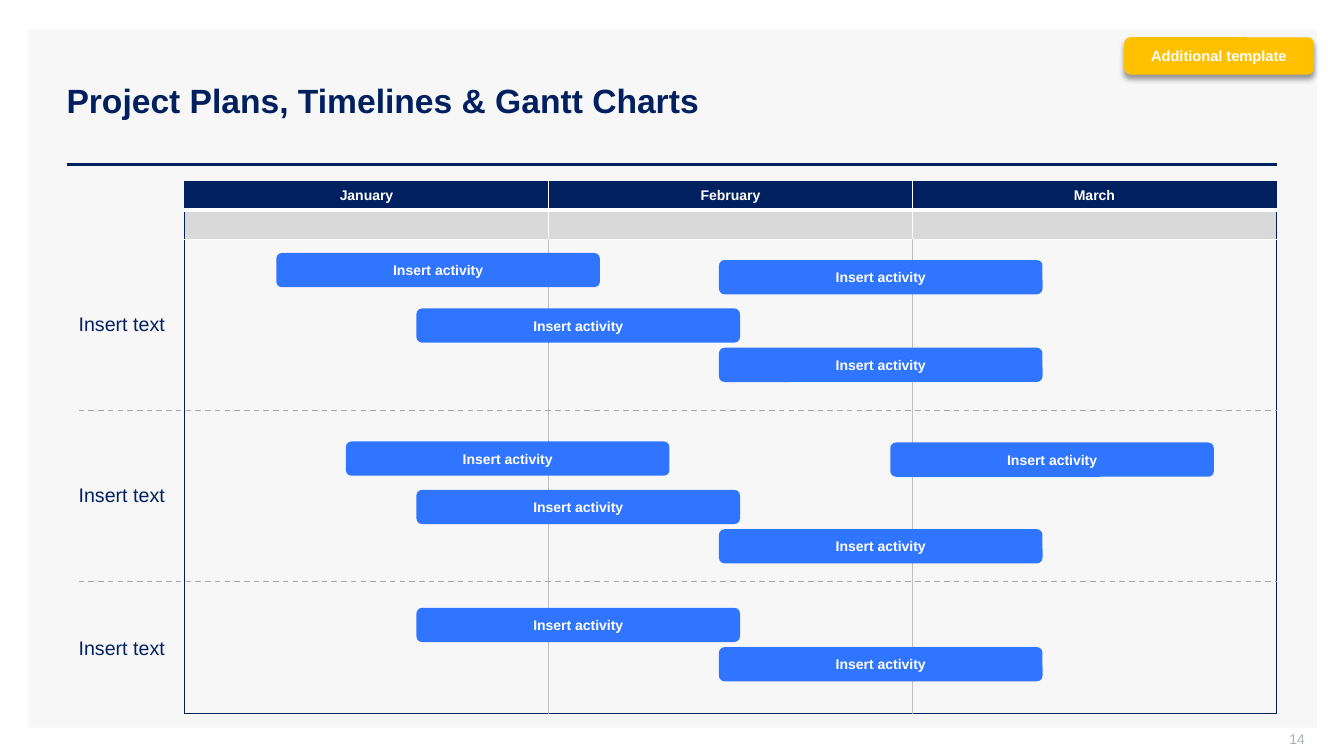
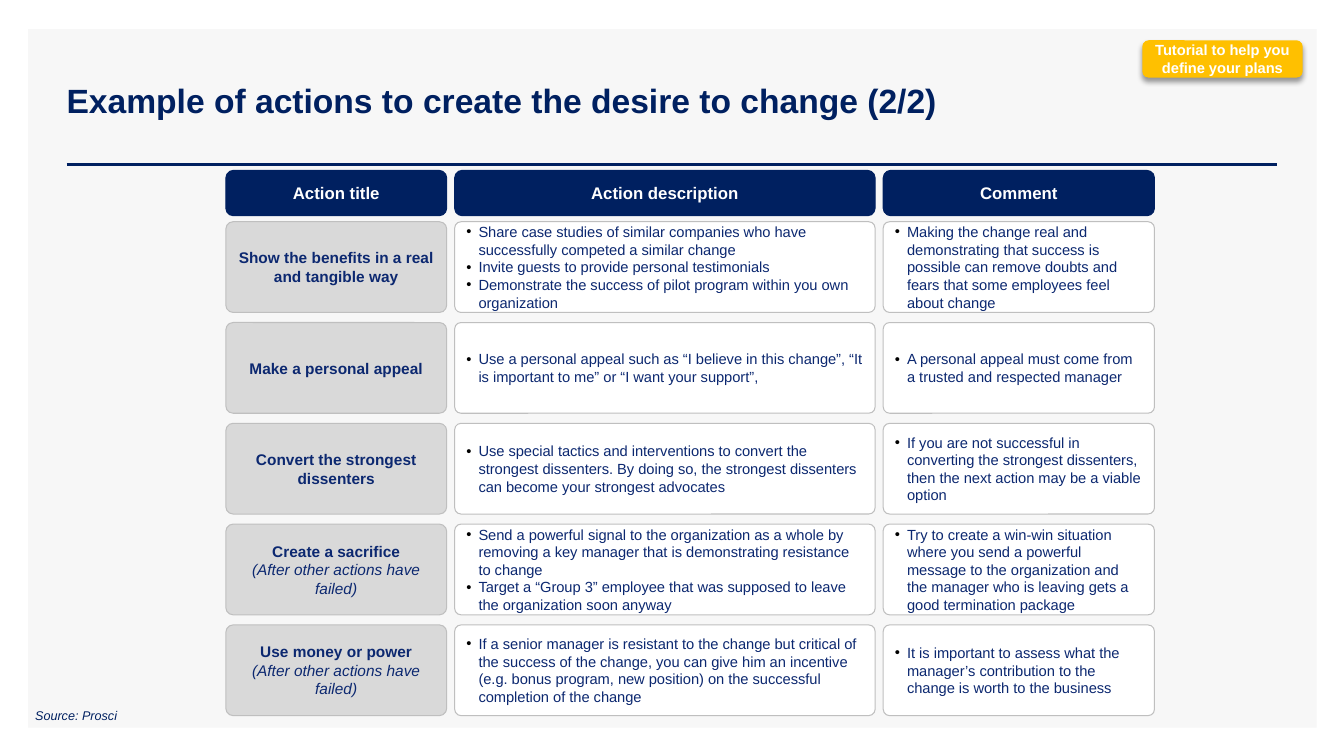
"""Build a Gantt chart slide and a change-action matrix slide."""
from dataclasses import dataclass

from lxml import etree
from pptx import Presentation
from pptx.dml.color import RGBColor
from pptx.enum import dml, shapes, text
from pptx.oxml import ns
from pptx.util import Inches, Pt


@dataclass(frozen=True)
class Theme:
    font: str = "Arial"
    navy: str = "002060"
    ink: str = "0C2870"
    blue: str = "3075FF"
    amber: str = "FFC000"
    white: str = "FFFFFF"
    black: str = "000000"
    panel: str = "F7F7F7"
    grey: str = "D9D9D9"
    border: str = "BFBFBF"
    dash: str = "A6A6A6"
    number: str = "ADAFBB"
    title_size: float = 24
    label_size: float = 14
    header_size: float = 12
    action_size: float = 11
    body_size: float = 10.5
    small_size: float = 10
    source_size: float = 9


THEME = Theme()
CENTER, LEFT, RIGHT = text.PP_ALIGN.CENTER, text.PP_ALIGN.LEFT, text.PP_ALIGN.RIGHT
STANDARD_MARGINS = (0.1, 0.05, 0.1, 0.05)


def write(holder, content, size, colour, align=LEFT, bold=False, italic=False,
          margins=STANDARD_MARGINS, anchor=text.MSO_ANCHOR.MIDDLE, spacing=None):
    frame = holder.text_frame
    frame.text = content
    frame.word_wrap = True
    frame.vertical_anchor = anchor
    frame.margin_left, frame.margin_top, frame.margin_right, frame.margin_bottom = map(Inches, margins)
    for paragraph in frame.paragraphs:
        paragraph.alignment = align
        paragraph.line_spacing = spacing
        for run in paragraph.runs:
            run.font.name, run.font.size = THEME.font, Pt(size)
            run.font.bold, run.font.italic = bold, italic
            run.font.color.rgb = RGBColor.from_string(colour)
    return frame


def add_box(slide, place, fill, line=None, rounding=0.167, kind=shapes.MSO_SHAPE.ROUNDED_RECTANGLE):
    box = slide.shapes.add_shape(kind, *map(Inches, place))
    box.shadow.inherit = False
    box.fill.solid()
    box.fill.fore_color.rgb = RGBColor.from_string(fill)
    if line:
        box.line.color.rgb = RGBColor.from_string(line)
        box.line.width = Pt(0.75)
    else:
        box.line.fill.background()
    if len(box.adjustments):
        box.adjustments[0] = rounding
    return box


presentation = Presentation()
presentation.slide_width, presentation.slide_height = Inches(13.33), Inches(7.5)
layout = presentation.slide_layouts[5]

slides = []
for title, badge_text, badge_place in (
    ("Project Plans, Timelines & Gantt Charts", "Additional template", (11.15, 0.37, 1.88, 0.37)),
    ("Example of actions to create the desire to change (2/2)",
     "Tutorial to help you define your plans", (11.33, 0.4, 1.59, 0.37)),
):
    slide = presentation.slides.add_slide(layout)
    slides.append(slide)
    heading = slide.shapes.title
    heading.left, heading.top, heading.width, heading.height = map(Inches, (0.56, 0.4, 12.11, 1.19))
    write(heading, title, THEME.title_size, THEME.navy, bold=True)
    badge = add_box(slide, badge_place, THEME.amber)
    write(badge, badge_text, THEME.body_size, THEME.white, CENTER, bold=True)
    effects = badge._element.spPr.find(ns.qn("a:effectLst"))
    shadow = etree.SubElement(effects, ns.qn("a:outerShdw"), blurRad=str(Pt(4)), dist=str(Pt(3)),
                              dir="5400000", algn="t", rotWithShape="0")
    shadow_colour = etree.SubElement(shadow, ns.qn("a:srgbClr"), val=THEME.black)
    etree.SubElement(shadow_colour, ns.qn("a:alpha"), val="40000")

gantt, matrix = slides

panel = add_box(gantt, (0.28, 0.29, 12.78, 6.93), THEME.panel, kind=shapes.MSO_SHAPE.RECTANGLE)
layout.shapes.element.insert(2, panel._element)

months = ("January", "February", "March")
row_heights = (0.28, 0.3, 4.7)
row_fills = (THEME.navy, THEME.grey, THEME.panel)
outer_border = (THEME.navy, 0.75)
inner_borders = ((THEME.white, 1), (THEME.white, 1), (THEME.border, 0.75))
level_borders = (outer_border, (THEME.white, 3), (THEME.white, 1), outer_border)

calendar = gantt.shapes.add_table(3, 3, *map(Inches, (1.83, 1.8, 10.83, sum(row_heights)))).table
calendar.first_row = calendar.horz_banding = False
for row, height in enumerate(row_heights):
    calendar.rows[row].height = Inches(height)
    side_borders = (outer_border, inner_borders[row], inner_borders[row], outer_border)
    for column, month in enumerate(months):
        cell = calendar.cell(row, column)
        cell_properties = cell._tc.get_or_add_tcPr()
        for side, (colour, width) in (
            ("lnL", side_borders[column]), ("lnR", side_borders[column + 1]),
            ("lnT", level_borders[row]), ("lnB", level_borders[row + 1]),
        ):
            edge = etree.SubElement(cell_properties, ns.qn(f"a:{side}"), w=str(Pt(width)))
            edge_fill = etree.SubElement(edge, ns.qn("a:solidFill"))
            etree.SubElement(edge_fill, ns.qn("a:srgbClr"), val=colour)
        cell.fill.solid()
        cell.fill.fore_color.rgb = RGBColor.from_string(row_fills[row])
        cell.vertical_anchor = text.MSO_ANCHOR.MIDDLE
        cell.margin_left = cell.margin_right = Inches(0.04)
        cell.margin_top = cell.margin_bottom = Inches(0.05)
        paragraph = cell.text_frame.paragraphs[0]
        if row == 0:
            paragraph.text = month
            paragraph.alignment = CENTER
            font = paragraph.runs[0].font
            font.name, font.size, font.bold = THEME.font, Pt(THEME.small_size), True
            font.color.rgb = RGBColor.from_string(THEME.white)
        else:
            etree.SubElement(paragraph._p, ns.qn("a:endParaRPr"), sz=str(int(THEME.small_size * 100)))

for left, top, colour, width, dashed in (
    (0.78, 4.07, THEME.dash, 1, True),
    (0.78, 5.77, THEME.dash, 1, True),
    (0.66, 1.63, THEME.navy, 2, False),
):
    rule = gantt.shapes.add_connector(shapes.MSO_CONNECTOR.STRAIGHT, Inches(left), Inches(top),
                                      Inches(12.67), Inches(top))
    rule.line.color.rgb = RGBColor.from_string(colour)
    rule.line.width = Pt(width)
    etree.SubElement(rule._element.spPr, ns.qn("a:effectLst"))
    if dashed:
        rule.line.dash_style = dml.MSO_LINE.DASH
    else:
        layout.shapes.element.insert(3, rule._element)

for label_top, bars in (
    (3.12, ((2.74, 2.51), (4.13, 3.06), (7.13, 3.45), (7.13, 2.58))),
    (4.82, ((4.13, 4.86), (7.13, 5.25), (8.83, 4.39), (3.43, 4.38))),
    (6.34, ((4.13, 6.03), (7.13, 6.42))),
):
    label = gantt.shapes.add_textbox(*map(Inches, (0.78, label_top, 1, 0.21)))
    write(label, "Insert text", THEME.label_size, THEME.navy, margins=(0, 0, 0, 0),
          anchor=text.MSO_ANCHOR.TOP, spacing=0.9)
    for left, top in bars:
        bar = add_box(gantt, (left, top, 3.21, 0.34), THEME.blue)
        write(bar, "Insert activity", THEME.small_size, THEME.white, CENTER, bold=True,
              margins=(0, 0.04, 0, 0.04), spacing=Pt(12))

page_number = gantt.shapes.add_textbox(*map(Inches, (10.04, 7.25, 3, 0.21)))
write(page_number, "14", THEME.small_size, THEME.number, RIGHT, margins=(0.1, 0, 0.1, 0.05))

columns = (("Action title", 2.19), ("Action description", 4.17), ("Comment", 2.69))
actions = (
    ("Show the benefits in a real and tangible way",
     "Share case studies of similar companies who have successfully competed a similar change\n"
     "Invite guests to provide personal testimonials\n"
     "Demonstrate the success of pilot program within you own organization",
     "Making the change real and demonstrating that success is possible can remove doubts "
     "and fears that some employees feel about change"),
    ("Make a personal appeal",
     "Use a personal appeal such as “I believe in this change”, “It is important to me” "
     "or “I want your support”,",
     "A personal appeal must come from a trusted and respected manager"),
    ("Convert the strongest dissenters",
     "Use special tactics and interventions to convert the strongest dissenters. By doing so, "
     "the strongest dissenters can become your strongest advocates",
     "If you are not successful in converting the strongest dissenters, then the next action "
     "may be a viable option"),
    ("Create a sacrifice\n(After other actions have failed)",
     "Send a powerful signal to the organization as a whole by removing a key manager that is "
     "demonstrating resistance to change\n"
     "Target a “Group 3” employee that was supposed to leave the organization soon anyway",
     "Try to create a win-win situation where you send a powerful message to the organization "
     "and the manager who is leaving gets a good termination package"),
    ("Use money or power\n(After other actions have failed)",
     "If a senior manager is resistant to the change but critical of the success of the change, "
     "you can give him an incentive (e.g. bonus program, new position) on the successful "
     "completion of the change",
     "It is important to assess what the manager’s contribution to the change is worth to the business"),
)

left = 2.24
for column, (header, width) in enumerate(columns):
    header_box = add_box(matrix, (left, 1.69, width, 0.45), THEME.navy, THEME.navy)
    write(header_box, header, THEME.header_size, THEME.white, CENTER, bold=True, margins=(0.02,) * 4)
    for row, action in enumerate(actions):
        place = (left, 2.2 + row, width, 0.9)
        if column == 0:
            card = add_box(matrix, place, THEME.grey, THEME.border, 0.08)
            frame = write(card, action[column], THEME.action_size, THEME.ink, CENTER, bold=True)
            for paragraph in frame.paragraphs[1:]:
                paragraph.runs[0].font.bold, paragraph.runs[0].font.italic = False, True
            continue
        card = add_box(matrix, place, THEME.white, THEME.border, 0.07)
        frame = write(card, action[column], THEME.body_size, THEME.ink)
        for paragraph in frame.paragraphs:
            properties = paragraph._p.get_or_add_pPr()
            properties.set("marL", str(Inches(0.12)))
            properties.set("indent", str(-Inches(0.12)))
            bullet_colour = etree.SubElement(properties, ns.qn("a:buClr"))
            etree.SubElement(bullet_colour, ns.qn("a:srgbClr"), val=THEME.black)
            etree.SubElement(properties, ns.qn("a:buFont"), typeface=THEME.font)
            etree.SubElement(properties, ns.qn("a:buChar"), char="•")
    left += width + 0.08

source = matrix.shapes.add_textbox(*map(Inches, (0.25, 6.97, 1.22, 0.25)))
write(source, "Source: Prosci", THEME.source_size, THEME.navy, italic=True, anchor=text.MSO_ANCHOR.TOP)

presentation.save("out.pptx")
